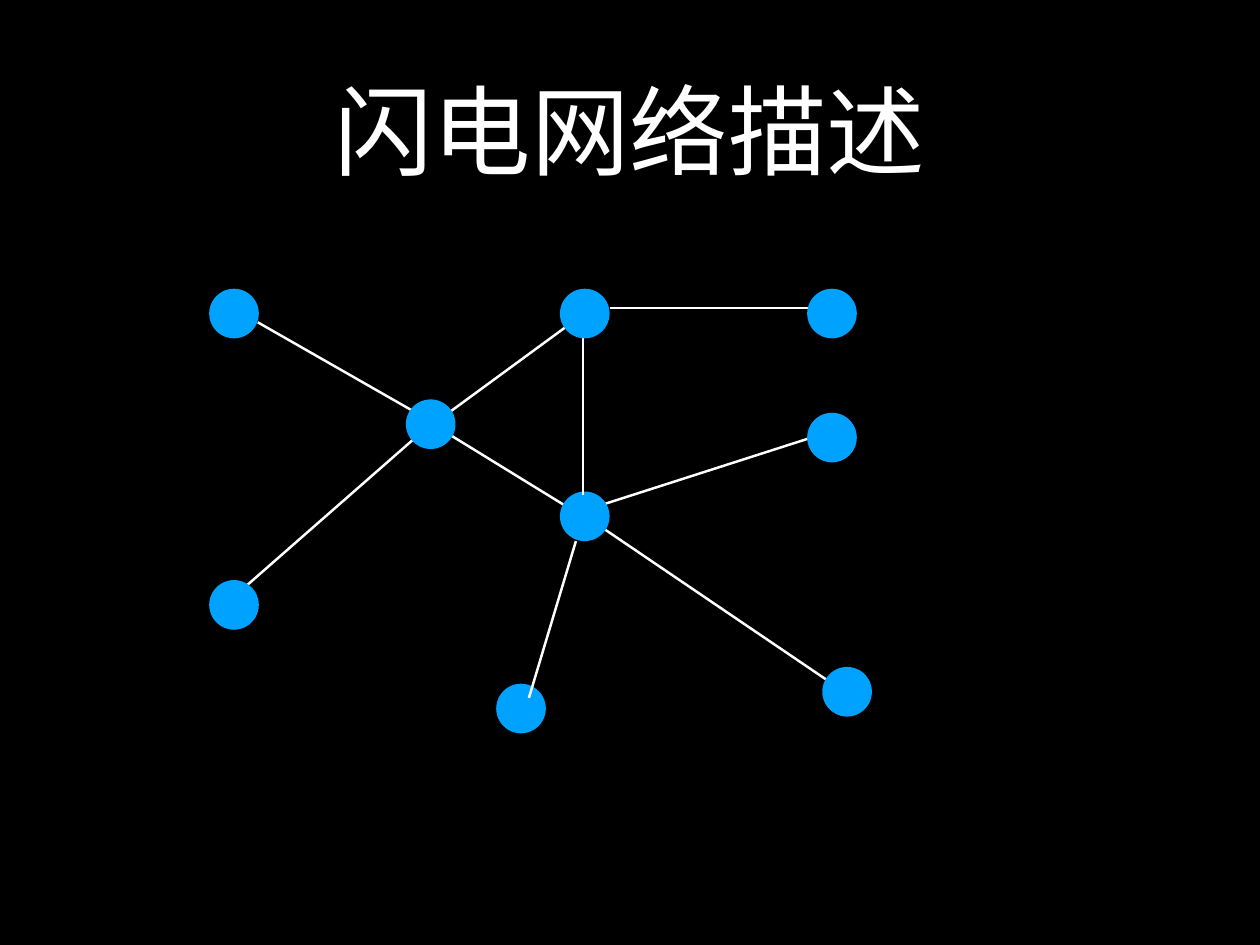
from dataclasses import dataclass

from lxml.etree import SubElement
from pptx import Presentation
from pptx.dml.color import RGBColor
from pptx.enum.shapes import MSO_CONNECTOR as Connector, MSO_SHAPE as Shape
from pptx.enum.text import MSO_ANCHOR as Anchor, MSO_AUTO_SIZE as AutoSize, PP_ALIGN as Align
from pptx.oxml.ns import qn
from pptx.util import Inches, Pt


@dataclass(frozen=True)
class Theme:
    background: RGBColor = RGBColor(0x00, 0x00, 0x00)
    foreground: RGBColor = RGBColor(0xFF, 0xFF, 0xFF)
    node: RGBColor = RGBColor(0x00, 0xA2, 0xFF)
    font: str = "Arial"
    title_size: int = 80
    link_width: int = 2


THEME = Theme()
WIDTH, HEIGHT = Inches(14.22), Inches(10.67)

# All positions are percentages of the slide's width and height
TITLE_BOX = (7.31, 2.62, 85.37, 22.12)
NODE_SIZE = 3.94  # percent of the width

LEFT, HUB, RIGHT = 18.57, 46.41, 66.03  # node columns
TOP = 33.18  # node row

# Layers from back to front: node centres, then the links drawn over them
LAYERS = [
    (
        [(LEFT, TOP), (41.35, 74.98)],
        [
            ((20.46, 34.11), (32.77, 43.49)),
            ((18.71, 62.98), (32.98, 46.3)),
            ((35.72, 46.02), (45.43, 53.98)),
            ((45.71, 57.26), (41.98, 73.85)),
            ((35.72, 43.58), (45.5, 34.02)),
            ((47.33, 53.61), (64.42, 46.3)),
            ((48.38, 32.61), (65.19, 32.61)),
            ((47.4, 55.48), (66.17, 72.45)),
        ],
    ),
    (
        [(34.18, 44.89), (67.23, 73.2), (RIGHT, 46.3), (HUB, 54.64),
         (RIGHT, TOP), (LEFT, 64.01)],
        [((46.27, 52.39), (46.27, 34.3))],
    ),
    ([(HUB, TOP)], []),
]


def across(percent):
    return round(WIDTH * percent / 100)


def down(percent):
    return round(HEIGHT * percent / 100)


def write_text(frame, text, *, size, color, font=THEME.font, align=Align.CENTER):
    paragraph = frame.paragraphs[0]
    paragraph.alignment = align
    run = paragraph.add_run()
    run.text = text
    run.font.name = font
    run.font.size = Pt(size)
    run.font.color.rgb = color


def set_title(slide, text):
    title = slide.shapes.title
    left, top, width, height = TITLE_BOX
    title.left, title.top = across(left), down(top)
    title.width, title.height = across(width), down(height)
    frame = title.text_frame
    frame.word_wrap = True
    frame.auto_size = AutoSize.NONE
    frame.vertical_anchor = Anchor.MIDDLE
    frame.margin_left = frame.margin_right = Inches(0.06)
    frame.margin_top = frame.margin_bottom = Inches(0.06)
    write_text(frame, text, size=THEME.title_size, color=THEME.foreground)


def add_node(slide, center):
    x, y = center
    size = across(NODE_SIZE)
    node = slide.shapes.add_shape(
        Shape.OVAL, across(x) - size // 2, down(y) - size // 2, size, size)
    node.shadow.inherit = False
    node.fill.solid()
    node.fill.fore_color.rgb = THEME.node
    node.line.fill.background()


def add_link(slide, start, end):
    link = slide.shapes.add_connector(
        Connector.STRAIGHT,
        across(start[0]), down(start[1]), across(end[0]), down(end[1]))
    link.line.color.rgb = THEME.foreground
    link.line.width = Pt(THEME.link_width)
    SubElement(link._element.spPr, qn("a:effectLst"))


def main():
    presentation = Presentation()
    presentation.slide_width, presentation.slide_height = WIDTH, HEIGHT
    slide = presentation.slides.add_slide(presentation.slide_layouts[5])

    # Background and title
    slide.background.fill.solid()
    slide.background.fill.fore_color.rgb = THEME.background
    set_title(slide, "闪电网络描述")

    # Network diagram
    for nodes, links in LAYERS:
        for center in nodes:
            add_node(slide, center)
        for start, end in links:
            add_link(slide, start, end)

    presentation.save("out.pptx")


if __name__ == "__main__":
    main()
